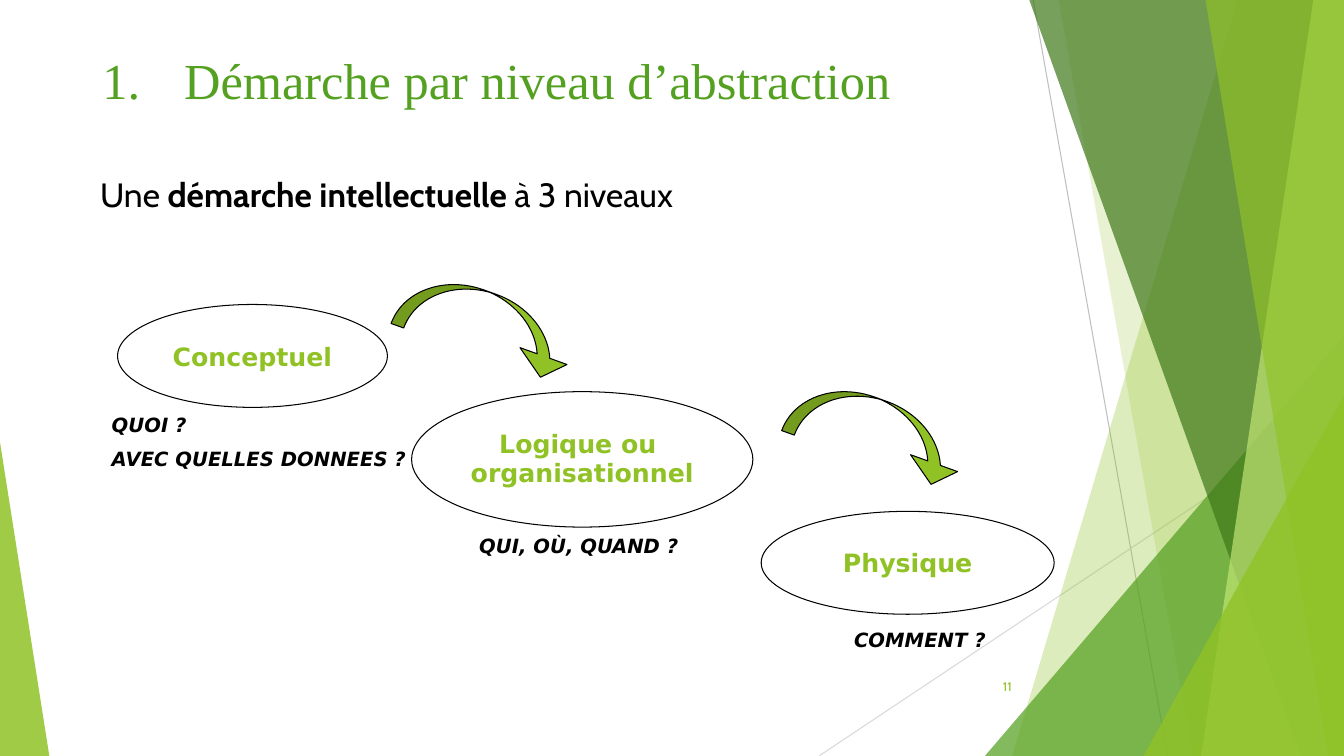
from lxml.etree import SubElement
from pptx import Presentation
from pptx.dml.color import RGBColor
from pptx.enum.shapes import MSO_CONNECTOR as Connector, MSO_SHAPE as Shape
from pptx.enum.text import MSO_ANCHOR as Anchor, PP_ALIGN as Align
from pptx.oxml.ns import qn
from pptx.util import Pt

PX = 9525
COLORS = {
    "white": "FFFFFF",
    "black": "000000",
    "lime": "90C226",
    "green": "54A021",
    "forest": "3F7819",
    "pale": "C0E474",
    "gray": "BFBFBF",
    "light_gray": "D9D9D9",
}


class LevelSlide:
    heading_font = "Times New Roman"
    body_font = "Cabin"
    diagram_font = "DejaVu Sans"

    def __init__(self, slide):
        self.shapes = slide.shapes

    def color(self, name):
        return RGBColor.from_string(COLORS[name])

    def paint(self, shape, fill, alpha=100, outline=None):
        shape.shadow.inherit = False
        shape.fill.solid()
        shape.fill.fore_color.rgb = self.color(fill)
        if alpha < 100:
            tint = shape.fill._xPr.find(qn("a:solidFill"))[0]
            SubElement(tint, qn("a:alpha"), val=str(alpha * 1000))
        if outline:
            shape.line.color.rgb = self.color(outline)
            shape.line.width = Pt(0.75)
        else:
            shape.line.fill.background()

    def preset(self, kind, box, fill, alpha=100, outline=None, adjustments=(), rotation=0):
        shape = self.shapes.add_shape(kind, *(value * PX for value in box))
        for index, value in enumerate(adjustments):
            shape.adjustments[index] = value
        shape.rotation = rotation
        self.paint(shape, fill, alpha, outline)
        return shape

    def facet(self, top_left, top_right, bottom_right, bottom_left, fill, alpha):
        builder = self.shapes.build_freeform(top_left, -1, scale=PX)
        builder.add_line_segments([(top_right, -1), (bottom_right, 720), (bottom_left, 720)])
        self.paint(builder.convert_to_shape(), fill, alpha)

    def line(self, start, end, color):
        ends = (value * PX for value in start + end)
        connector = self.shapes.add_connector(Connector.STRAIGHT, *ends)
        connector.line.color.rgb = self.color(color)
        connector.line.width = Pt(0.75)
        SubElement(connector._element.spPr, qn("a:effectLst"))

    def style(self, paragraph, font, size, color, bold=None, italic=None):
        paragraph.font.name = font
        paragraph.font.size = Pt(size)
        paragraph.font.color.rgb = self.color(color)
        paragraph.font.bold = bold
        paragraph.font.italic = italic

    def text_frame(self, box):
        frame = self.shapes.add_textbox(*(value * PX for value in box)).text_frame
        frame.word_wrap = True
        return frame

    def heading(self, box, text, indent):
        paragraph = self.text_frame(box).paragraphs[0]
        paragraph.text = text
        properties = paragraph._p.get_or_add_pPr()
        properties.set("marL", str(indent * PX))
        properties.set("indent", str(-indent * PX))
        SubElement(properties, qn("a:buAutoNum"), type="arabicPeriod")
        self.style(paragraph, self.heading_font, 36, "green")

    def statement(self, box, parts):
        paragraph = self.text_frame(box).paragraphs[0]
        for text, bold in parts:
            run = paragraph.add_run()
            run.text = text
            run.font.bold = bold
        self.style(paragraph, self.body_font, 24, "black")

    def page_number(self, box, number):
        frame = self.text_frame(box)
        frame.vertical_anchor = Anchor.MIDDLE
        paragraph = frame.paragraphs[0]
        paragraph.text = number
        paragraph.alignment = Align.RIGHT
        self.style(paragraph, self.body_font, 9, "lime")

    def level(self, box, lines):
        frame = self.preset(Shape.OVAL, box, "white", outline="black").text_frame
        frame.word_wrap = False
        frame.vertical_anchor = Anchor.MIDDLE
        frame.text = "\n".join(lines)
        for paragraph in frame.paragraphs:
            paragraph.alignment = Align.CENTER
            if len(lines) > 1:
                paragraph.line_spacing = 0.95
            self.style(paragraph, self.diagram_font, 18, "lime", bold=True)

    def questions(self, box, lines):
        frame = self.text_frame(box)
        frame.text = "\n".join(lines)
        for index, paragraph in enumerate(frame.paragraphs):
            if index:
                paragraph.space_before = Pt(7)
            self.style(paragraph, self.diagram_font, 14, "black", bold=True, italic=True)

    def step_arrow(self, left, top):
        self.preset(Shape.CURVED_LEFT_ARROW, (left, top, 60, 175), "lime", outline="black",
                    adjustments=(0.213, 0.793, 0.333), rotation=289.8)


def main():
    presentation = Presentation()
    presentation.slide_width = 1280 * PX
    presentation.slide_height = 720 * PX
    page = LevelSlide(presentation.slides.add_slide(presentation.slide_layouts[6]))

    page.line((984, 0), (1112, 720), "gray")
    page.line((1280, 387), (780, 720), "light_gray")
    page.facet(1179, 1280, 1280, 964, "lime", 30)
    page.facet(1008, 1280, 1280, 1136, "lime", 20)
    page.preset(Shape.ISOSCELES_TRIANGLE, (938, 320, 342, 400), "green", 72, adjustments=(1,))
    page.facet(980, 1280, 1280, 1239, "forest", 70)
    page.facet(1251, 1280, 1280, 1144, "pale", 70)
    page.facet(1148, 1280, 1280, 1265, "lime", 65)
    page.preset(Shape.ISOSCELES_TRIANGLE, (1089, 377, 191, 343), "lime", 80, adjustments=(1,))
    page.preset(Shape.ISOSCELES_TRIANGLE, (0, 421, 47, 299), "lime", 85, adjustments=(0,))

    page.heading((88, 42, 880, 86), "Démarche par niveau d’abstraction", 78)
    page.statement((86, 161, 884, 68), [
        ("Une ", False), ("démarche intellectuelle", True), (" à 3 niveaux", False)])
    page.page_number((901, 635, 72, 38), "11")

    levels = [
        ((112, 290, 257, 98), ["Conceptuel"],
         (97, 389, 306, 66), ["QUOI ?", "AVEC QUELLES DONNEES ?"]),
        ((392, 373, 325, 129), ["Logique ou ", "organisationnel"],
         (447, 504, 219, 32), ["QUI, OÙ, QUAND ?"]),
        ((725, 487, 279, 98), ["Physique"],
         (804, 593, 174, 32), ["COMMENT ?"]),
    ]
    for oval, name, caption, questions in levels:
        page.level(oval, name)
        page.questions(caption, questions)
    for left, top in [(435, 222), (807, 324)]:
        page.step_arrow(left, top)

    presentation.save("out.pptx")


if __name__ == "__main__":
    main()
